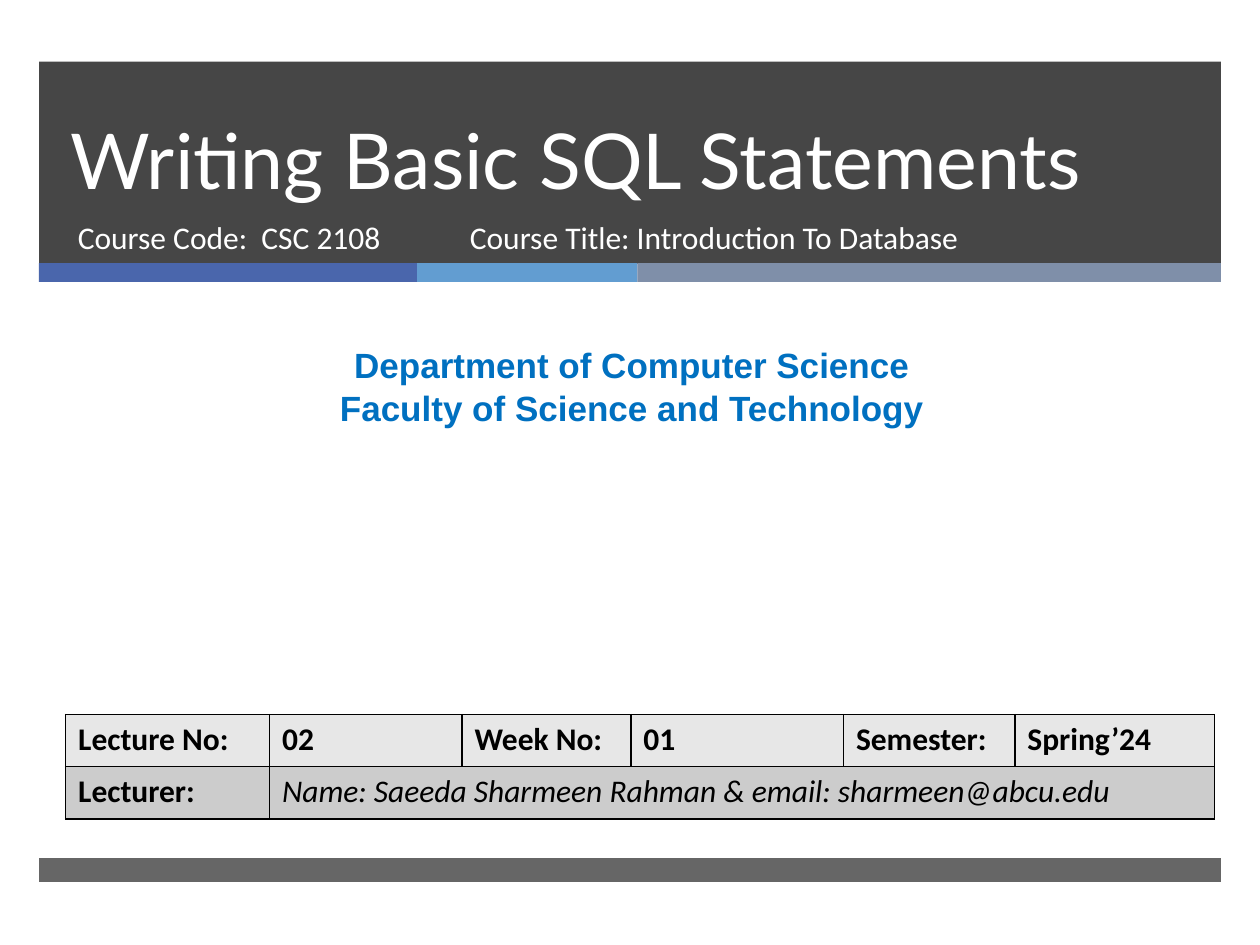
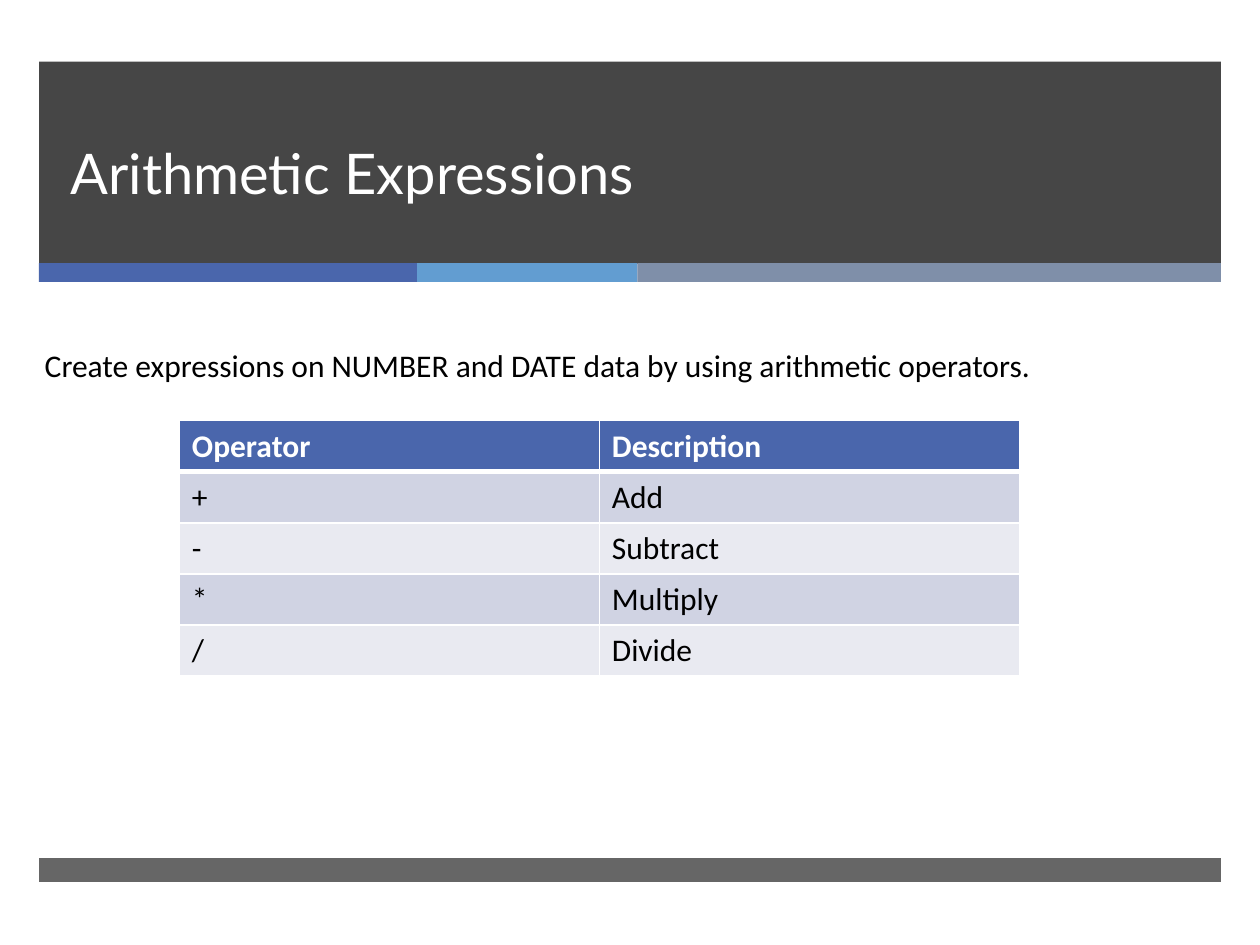
from dataclasses import dataclass

from lxml import etree
from pptx import Presentation
from pptx.dml.color import RGBColor
from pptx.enum.shapes import MSO_SHAPE
from pptx.enum.text import MSO_ANCHOR, MSO_AUTO_SIZE, PP_ALIGN
from pptx.oxml.ns import qn
from pptx.slide import Slide, SlideLayout
from pptx.table import Table, _Cell
from pptx.text.text import TextFrame
from pptx.util import Pt

RECTANGLE = MSO_SHAPE.RECTANGLE
LEFT, CENTER = PP_ALIGN.LEFT, PP_ALIGN.CENTER
TOP, BOTTOM = MSO_ANCHOR.TOP, MSO_ANCHOR.BOTTOM
NO_AUTOFIT = MSO_AUTO_SIZE.NONE

COLORS = {
    "band": "262626",
    "accent": "4A66AC",
    "sky": "629DD1",
    "slate": "7F8FA9",
    "department": "0070C0",
    "white": "FFFFFF",
    "black": "000000",
    "lecture_row": "E7E7E7",
    "lecturer_row": "CCCCCC",
    "odd_row": "D0D3E3",
    "even_row": "E9EAF1",
}
TITLE_FONT, BODY_FONT, DEPARTMENT_FONT = "Lato", "Calibri", "Arial"
TITLE_ONLY = 5


@dataclass(frozen=True)
class Box:
    left: float
    top: float
    width: float
    height: float

    def lengths(self) -> tuple[Pt, Pt, Pt, Pt]:
        return Pt(self.left), Pt(self.top), Pt(self.width), Pt(self.height)


@dataclass(frozen=True)
class Band:
    box: Box
    color: str
    opacity: int = 100


BANDS = (
    Band(Box(22.3, 35.2, 675.4, 115.6), "band", 85),
    Band(Box(22.3, 150.3, 216, 10.8), "accent"),
    Band(Box(238.3, 150.3, 126, 10.8), "sky"),
    Band(Box(364.3, 150.3, 333.4, 10.8), "slate"),
    Band(Box(22.3, 490.3, 675.4, 13.7), "band", 70),
)
TITLE_BOX = Box(33.1, 35.3, 614.9, 85.7)


def write(frame: TextFrame, text: str, *, size: float = 18, font: str = BODY_FONT,
          color: str = "black", bold: bool = False, italic: bool = False,
          align: PP_ALIGN = LEFT, anchor: MSO_ANCHOR = TOP,
          line_height: float | None = None) -> None:
    """Fill a frame with one paragraph for each line of text."""
    frame.word_wrap = True
    frame.vertical_anchor = anchor
    frame.text = text
    for paragraph in frame.paragraphs:
        paragraph.alignment = align
        if line_height:
            paragraph.line_spacing = Pt(line_height)
        for run in paragraph.runs:
            run.font.name = font
            run.font.size = Pt(size)
            run.font.bold = bold
            run.font.italic = italic
            run.font.color.rgb = RGBColor.from_string(COLORS[color])


def add_text(slide: Slide, box: Box, text: str, **text_format) -> None:
    write(slide.shapes.add_textbox(*box.lengths()).text_frame, text, **text_format)


def add_band(slide: Slide, layout: SlideLayout, band: Band) -> None:
    """Draw a band and hand it to the layout, so that every slide shows it."""
    shape = slide.shapes.add_shape(RECTANGLE, *band.box.lengths())
    shape.shadow.inherit = False
    shape.line.fill.background()
    shape.fill.solid()
    shape.fill.fore_color.rgb = RGBColor.from_string(COLORS[band.color])
    if band.opacity < 100:
        tint = shape._element.spPr.find(f".//{qn('a:srgbClr')}")
        etree.SubElement(tint, qn("a:alpha"), val=str(band.opacity * 1000))
    layout.shapes._spTree.append(shape._element)


def add_titled_slide(deck: Presentation, title: str, size: float) -> Slide:
    slide = deck.slides.add_slide(deck.slide_layouts[TITLE_ONLY])
    heading = slide.shapes.title
    heading.left, heading.top, heading.width, heading.height = TITLE_BOX.lengths()
    heading.text_frame.auto_size = NO_AUTOFIT
    write(heading.text_frame, title, size=size, font=TITLE_FONT, color="white",
          anchor=BOTTOM, line_height=46)
    return slide


def add_plain_table(slide: Slide, left: float, top: float, columns: list[float],
                    row_height: float, row_count: int) -> Table:
    box = Box(left, top, sum(columns), row_height * row_count)
    table = slide.shapes.add_table(row_count, len(columns), *box.lengths()).table
    table.first_row = table.horz_banding = False
    for column, width in zip(table.columns, columns):
        column.width = Pt(width)
    return table


def style_cell(cell: _Cell, fill: str, border: str, top: float = 1,
               bottom: float = 1) -> None:
    cell.fill.solid()
    cell.fill.fore_color.rgb = RGBColor.from_string(COLORS[fill])
    properties = cell._tc.get_or_add_tcPr()
    sides = {"a:lnL": 1, "a:lnR": 1, "a:lnT": top, "a:lnB": bottom}
    for position, (side, width) in enumerate(sides.items()):
        line = etree.Element(qn(side), w=str(Pt(width)))
        paint = etree.SubElement(line, qn("a:solidFill"))
        etree.SubElement(paint, qn("a:srgbClr"), val=COLORS[border])
        properties.insert(position, line)


def add_lecture_table(slide: Slide) -> None:
    lecture = ["Lecture No:", "02", "Week No:", "01", "Semester:", "Spring’24"]
    lecturer = "Name: Saeeda Sharmeen Rahman & email: sharmeen@abcu.edu"
    columns = [116.5, 110, 96.5, 121.5, 98, 114]
    table = add_plain_table(slide, 37.5, 408.3, columns, 29.8, 2)
    for row, fill in enumerate(("lecture_row", "lecturer_row")):
        for column in range(len(columns)):
            style_cell(table.cell(row, column), fill, "black")
    table.cell(1, 1).merge(table.cell(1, len(columns) - 1))
    for column, entry in enumerate(lecture):
        write(table.cell(0, column).text_frame, entry, bold=True)
    write(table.cell(1, 0).text_frame, "Lecturer:", bold=True)
    write(table.cell(1, 1).text_frame, lecturer, italic=True)


def add_operator_table(slide: Slide) -> None:
    operators = [("Operator", "Description"), ("+", "Add"), ("-", "Subtract"),
                 ("*", "Multiply"), ("/", "Divide")]
    table = add_plain_table(slide, 102.5, 240.4, [240, 240], 29.2, len(operators))
    for row, entries in enumerate(operators):
        is_header = row == 0
        fill = "accent" if is_header else "odd_row" if row % 2 else "even_row"
        for column, entry in enumerate(entries):
            cell = table.cell(row, column)
            style_cell(cell, fill, "white", top=3 if row == 1 else 1,
                       bottom=3 if is_header else 1)
            write(cell.text_frame, entry, bold=is_header,
                  color="white" if is_header else "black")


def main() -> None:
    deck = Presentation()
    deck.slide_width, deck.slide_height = Pt(720), Pt(540)
    layout = deck.slide_layouts[TITLE_ONLY]
    for placeholder in list(layout.placeholders)[1:]:
        layout.shapes._spTree.remove(placeholder._element)

    opening = add_titled_slide(deck, "Writing Basic SQL Statements", 44)
    for band in BANDS:
        add_band(opening, layout, band)
    add_text(opening, Box(37.4, 121, 219.6, 38), "Course Code:  CSC 2108", color="white")
    add_text(opening, Box(261.4, 121.3, 327.6, 38),
             "Course Title: Introduction To Database", color="white")
    add_text(opening, Box(5.8, 193, 710.6, 55.7),
             "Department of Computer Science\nFaculty of Science and Technology",
             size=20, font=DEPARTMENT_FONT, color="department", bold=True, align=CENTER)
    add_lecture_table(opening)

    arithmetic = add_titled_slide(deck, "Arithmetic Expressions", 32)
    add_text(arithmetic, Box(18.5, 194, 674.6, 29),
             "Create expressions on NUMBER and DATE data by using arithmetic operators.")
    add_operator_table(arithmetic)
    deck.save("out.pptx")


if __name__ == "__main__":
    main()
